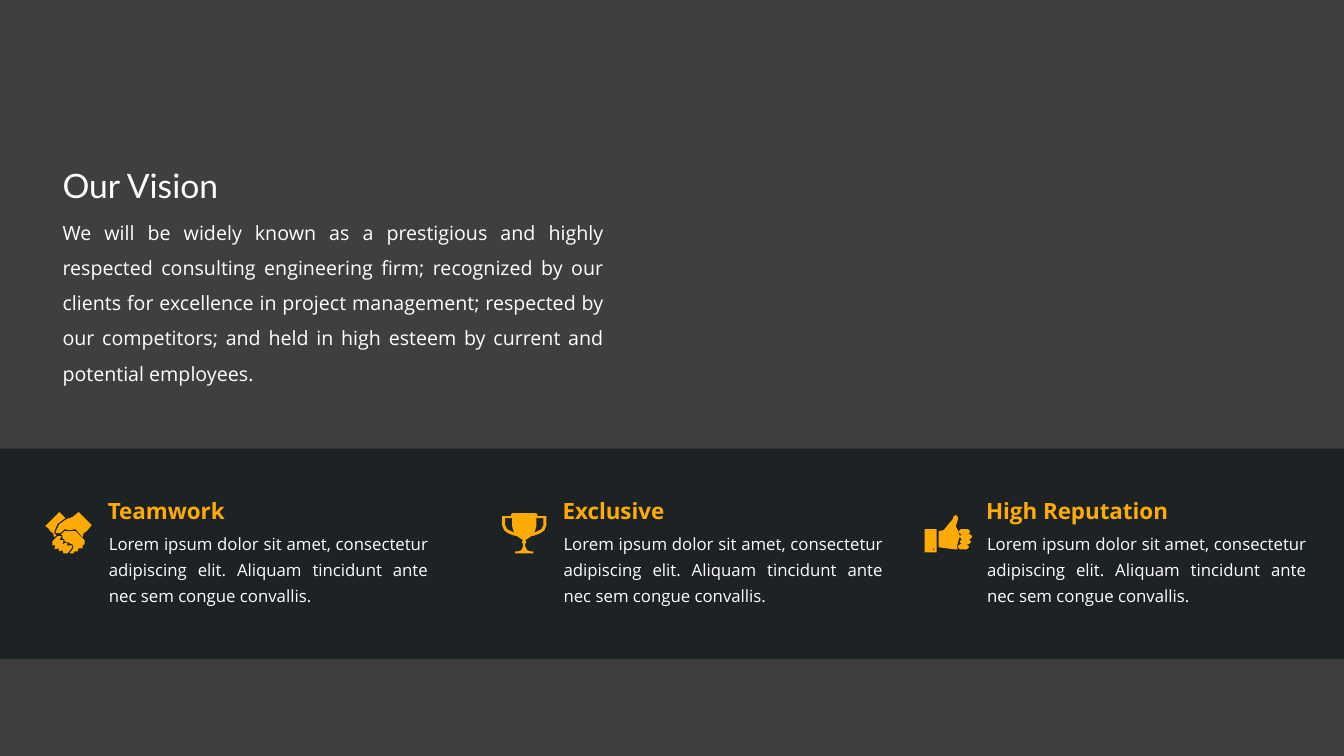
from dataclasses import dataclass
from lxml.etree import SubElement
from pptx import Presentation
from pptx.dml.color import RGBColor as RGB
from pptx.enum.shapes import MSO_SHAPE as Shape
from pptx.enum.text import MSO_ANCHOR as Anchor, MSO_AUTO_SIZE as AutoSize, PP_ALIGN as Align
from pptx.oxml.ns import qn
from pptx.util import Inches, Pt

# Content
TITLE = "Our Vision"
VISION = ("We will be widely known as a prestigious and highly respected consulting "
          "engineering firm; recognized by our clients for excellence in project "
          "management; respected by our competitors; and held in high esteem by "
          "current and potential employees.")
VALUE_TEXT = ("Lorem ipsum dolor sit amet, consectetur adipiscing elit. "
              "Aliquam tincidunt ante nec sem congue convallis.")


# Icon outlines, in hundredths of an inch
def mirrored(points, width):
    return [(width - x, y) for x, y in reversed(points)]


HANDSHAKE = [
    # left sleeve
    [(6, 20), (5, 19), (3, 16), (0, 14), (14, 0), (20, 6), (17, 8), (12, 12),
     (9, 19), (9, 21), (11, 23), (9, 25), (8, 23), (8, 21)],
    # right sleeve
    [(33, 0), (27, 5), (21, 7), (14, 12), (10, 20), (11, 21), (15, 21), (19, 17),
     (24, 18), (30, 17), (37, 25), (38, 21), (41, 19), (46, 13)],
    # right hand
    [(30, 19), (19, 19), (16, 22), (15, 22), (17, 23), (17, 26), (19, 27), (19, 29),
     (23, 30), (24, 31), (27, 32), (28, 34), (27, 37), (24, 41), (28, 41), (29, 39),
     (32, 39), (33, 36), (37, 36), (37, 33), (39, 32), (39, 28)],
    # left fingers
    [(27, 33), (23, 33), (22, 34), (22, 30), (19, 31), (17, 32), (18, 28), (14, 28),
     (16, 24), (12, 24), (7, 29), (7, 33), (10, 33), (9, 37), (13, 36), (14, 39),
     (17, 38), (18, 41), (22, 41), (26, 36)],
]

CUP_LEFT = [(11, 0), (9, 1), (9, 3), (0, 3), (0, 12), (2, 17), (6, 20), (11, 22),
            (15, 23), (21, 27), (20, 28), (20, 30), (21, 30), (21, 33), (19, 37),
            (16, 38), (13, 38), (13, 40)]
HANDLE_LEFT = [(11, 19), (5, 16), (3, 12), (3, 5), (10, 5), (10, 13), (12, 20)]
TROPHY = [CUP_LEFT + mirrored(CUP_LEFT, 44), HANDLE_LEFT, mirrored(HANDLE_LEFT, 44)]


def finger(left, top, right):
    return [(left + 2, top), (right - 2, top), (right, top + 2), (right, top + 3),
            (right - 2, top + 5), (left + 2, top + 5), (left, top + 3), (left, top + 2)]


THUMB_UP = [
    [(32, 33), (33, 35), (29, 35), (22, 34), (14, 33), (14, 17), (19, 16), (23, 11),
     (28, 5), (29, 2), (31, 1), (33, 3), (33, 6), (31, 12), (33, 16), (35, 22),
     (34, 25), (33, 29)],
    finger(34, 15, 45), finger(35, 20, 47), finger(35, 25, 46), finger(33, 30, 44),
    [(0, 15), (12, 15), (12, 38), (0, 38)],
    [(8, 35), (9, 34), (10, 35), (9, 36)],
]

# heading, column left, icon left, icon top, icon outlines
VALUES = [
    ("Teamwork", 0.94, 0.45, 5.08, HANDSHAKE),
    ("Exclusive", 5.45, 4.98, 5.09, TROPHY),
    ("High Reputation", 9.65, 9.17, 5.10, THUMB_UP),
]


@dataclass(frozen=True)
class Theme:
    background: RGB = RGB(0x3F, 0x3F, 0x3F)
    band: RGB = RGB(0x18, 0x1E, 0x20)
    band_alpha: int = 85000
    accent: RGB = RGB(0xFF, 0xAB, 0x03)
    text: RGB = RGB(0xFF, 0xFF, 0xFF)
    title_font: str = "Lato"
    body_font: str = "Open Sans"
    title_size: int = 24
    vision_size: int = 14
    heading_size: int = 16
    value_size: int = 12


THEME = Theme()


def place(shape, left, top, width, height):
    shape.left, shape.top = Inches(left), Inches(top)
    shape.width, shape.height = Inches(width), Inches(height)


def write(shape, text, size, color=THEME.text, font=THEME.body_font, bold=False,
          align=Align.LEFT, spacing=1.0, anchor=Anchor.TOP, insets=(0.1, 0.05)):
    frame = shape.text_frame
    frame.text = text
    frame.word_wrap = True
    frame.auto_size = AutoSize.NONE
    frame.vertical_anchor = anchor
    frame.margin_left = frame.margin_right = Inches(insets[0])
    frame.margin_top = frame.margin_bottom = Inches(insets[1])
    paragraph = frame.paragraphs[0]
    paragraph.alignment = align
    paragraph.line_spacing = spacing
    paragraph.space_before = Pt(0)
    run_font = paragraph.runs[0].font
    run_font.name, run_font.size, run_font.bold = font, Pt(size), bold
    run_font.color.rgb = color
    return paragraph


def paint(shape, color):
    shape.shadow.inherit = False
    shape.fill.solid()
    shape.fill.fore_color.rgb = color
    shape.line.fill.background()


def draw_icon(slide, outlines, left, top):
    builder = slide.shapes.build_freeform(*outlines[0][0], scale=Inches(0.01))
    for index, outline in enumerate(outlines):
        if index:
            builder.move_to(*outline[0])
        builder.add_line_segments(outline[1:], close=True)
    paint(builder.convert_to_shape(Inches(left), Inches(top)), THEME.accent)


def main():
    presentation = Presentation()
    presentation.slide_width, presentation.slide_height = Inches(13.33), Inches(7.5)
    slide = presentation.slides.add_slide(presentation.slide_layouts[1])
    slide.background.fill.solid()
    slide.background.fill.fore_color.rgb = THEME.background

    # Title and vision statement
    title, vision = slide.shapes.title, slide.placeholders[1]
    place(title, 0.52, 1.59, 4.33, 0.5)
    write(title, TITLE, THEME.title_size, font=THEME.title_font)
    place(vision, 0.52, 2.02, 5.57, 1.66)
    paragraph = write(vision, VISION, THEME.vision_size, align=Align.JUSTIFY, spacing=1.5)
    properties = paragraph._p.get_or_add_pPr()
    properties.set("marL", "0")
    properties.set("indent", "0")
    SubElement(properties, qn("a:buNone"))

    # Translucent band
    band = slide.shapes.add_shape(Shape.RECTANGLE, 0, Inches(4.45),
                                  presentation.slide_width, Inches(2.09))
    paint(band, THEME.band)
    band_color = band.fill._xPr.find(qn("a:solidFill"))[0]
    SubElement(band_color, qn("a:alpha"), val=str(THEME.band_alpha))

    # Values: heading, text and icon
    for name, left, icon_left, icon_top, outlines in VALUES:
        heading = slide.shapes.add_textbox(0, 0, 0, 0)
        place(heading, left, 4.93, 2.67, 0.27)
        write(heading, name, THEME.heading_size, THEME.accent, bold=True,
              anchor=Anchor.MIDDLE, insets=(0.13, 0))
        description = slide.shapes.add_textbox(0, 0, 0, 0)
        place(description, left + 0.01, 5.16, 3.43, 0.92)
        write(description, VALUE_TEXT, THEME.value_size, align=Align.JUSTIFY,
              spacing=1.3, anchor=Anchor.MIDDLE, insets=(0.13, 0.07))
        draw_icon(slide, outlines, icon_left, icon_top)

    presentation.save("out.pptx")


if __name__ == "__main__":
    main()
